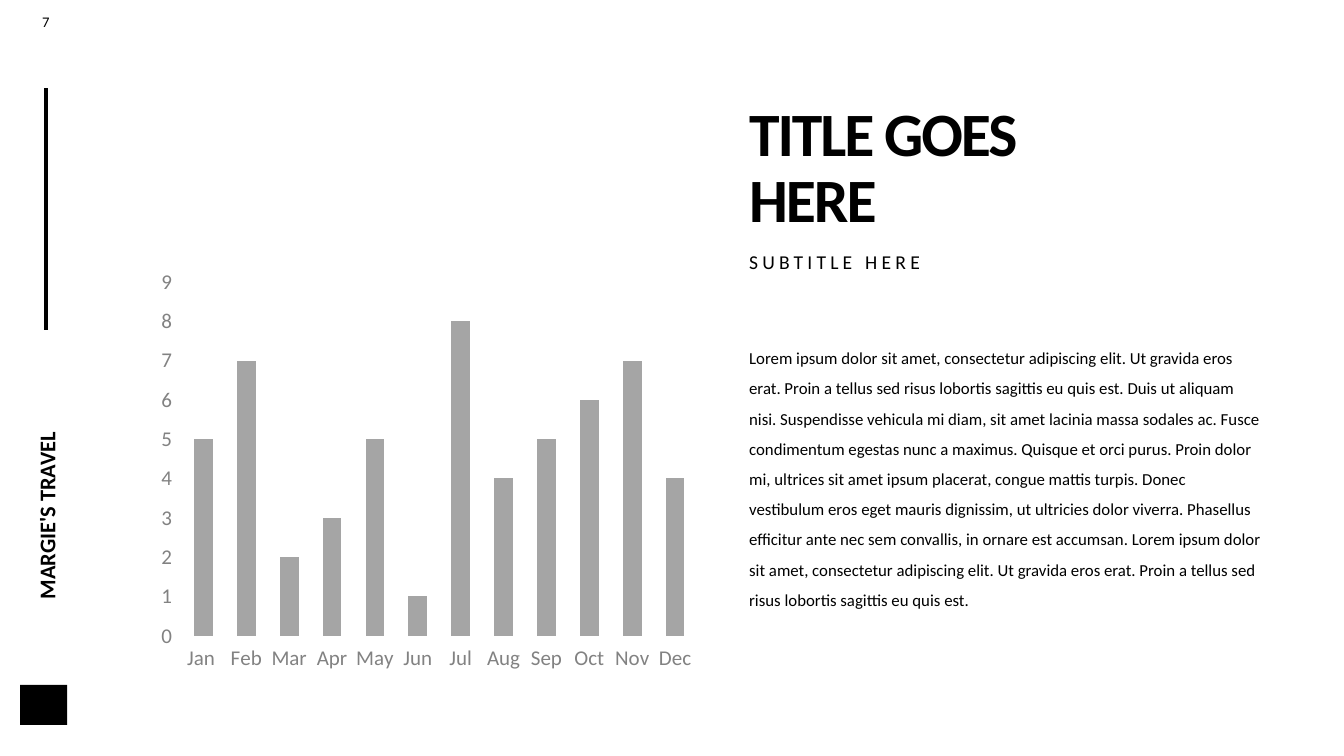
import pptx
import pptx.chart.data
import pptx.dml.color
import pptx.enum.chart
import pptx.enum.shapes
import pptx.enum.text
import pptx.oxml.ns
import pptx.util
from lxml import etree

WIDE, HIGH = pptx.util.Inches(13.33), pptx.util.Inches(7.5)
FONT = "Calibri"
HUES = {"ink": "000000", "bar": "A5A5A5", "axis": "828282", "back": "FFFFFF"}
SIDE, SPAN = 55.74, 39.08
MONTHS = ["Jan ", "Feb", "Mar", "Apr", "May", "Jun",
          "Jul", "Aug", "Sep", "Oct", "Nov", "Dec"]
VALUES = [5, 7, 2, 3, 5, 1, 8, 4, 5, 6, 7, 4]
LOREM = (
    "Lorem ipsum dolor sit amet, consectetur adipiscing elit. Ut gravida eros erat. "
    "Proin a tellus sed risus lobortis sagittis eu quis est. Duis ut aliquam nisi. "
    "Suspendisse vehicula mi diam, sit amet lacinia massa sodales ac. "
    "Fusce condimentum egestas nunc a maximus. Quisque et orci purus. "
    "Proin dolor mi, ultrices sit amet ipsum placerat, congue mattis turpis. "
    "Donec vestibulum eros eget mauris dignissim, ut ultricies dolor viverra. "
    "Phasellus efficitur ante nec sem convallis, in ornare est accumsan. "
    "Lorem ipsum dolor sit amet, consectetur adipiscing elit. Ut gravida eros erat. "
    "Proin a tellus sed risus lobortis sagittis eu quis est."
)


def col(share):
    return round(WIDE * share / 100)


def row(share):
    return round(HIGH * share / 100)


def area(x, y, w, h):
    return col(x), row(y), col(w), row(h)


def hue(name):
    return pptx.dml.color.RGBColor.from_string(HUES[name])


def paint(fill, name):
    fill.solid()
    fill.fore_color.rgb = hue(name)


def style(font, size, name, bold=False):
    font.name = FONT
    font.size = pptx.util.Pt(size)
    font.bold = bold
    font.color.rgb = hue(name)


def write(para, text, size, bold=False, space=0):
    for place, part in enumerate(text.split("\n")):
        if place:
            para.add_line_break()
        run = para.add_run()
        run.text = part
        style(run.font, size, "ink", bold)
        if space:
            run._r.get_or_add_rPr().set("spc", str(round(space * 100)))


def add_label(slide, spot, text, size, bold=False, tight=False, turn=0):
    box = slide.shapes.add_textbox(*area(*spot))
    box.rotation = turn
    frame = box.text_frame
    frame.word_wrap = not tight
    if tight:
        frame.auto_size = pptx.enum.text.MSO_AUTO_SIZE.SHAPE_TO_FIT_TEXT
        frame.vertical_anchor = pptx.enum.text.MSO_ANCHOR.MIDDLE
        frame.margin_left = frame.margin_right = pptx.util.Inches(0.02)
        frame.margin_top = frame.margin_bottom = pptx.util.Inches(0.02)
    else:
        frame.paragraphs[0].alignment = pptx.enum.text.PP_ALIGN.CENTER
    write(frame.paragraphs[0], text, size, bold)


def fill_holder(holder, top, tall, text, size, lead, bold=False, space=0,
                before=10, anchor=pptx.enum.text.MSO_ANCHOR.TOP):
    holder.left, holder.top, holder.width, holder.height = area(SIDE, top, SPAN, tall)
    frame = holder.text_frame
    frame.word_wrap = True
    frame.auto_size = pptx.enum.text.MSO_AUTO_SIZE.NONE
    frame.vertical_anchor = anchor
    frame.margin_left = 0
    frame.margin_right = pptx.util.Inches(0.1)
    frame.margin_top = frame.margin_bottom = pptx.util.Inches(0.05)
    para = frame.paragraphs[0]
    para.alignment = pptx.enum.text.PP_ALIGN.LEFT
    para.line_spacing = lead
    para.space_before = pptx.util.Pt(before)
    write(para, text, size, bold, space)


def add_rule(slide, x, start, end):
    rule = slide.shapes.add_connector(
        pptx.enum.shapes.MSO_CONNECTOR.STRAIGHT, col(x), row(start), col(x), row(end))
    rule.line.color.rgb = hue("ink")
    rule.line.width = pptx.util.Pt(3)
    etree.SubElement(rule._element.spPr, pptx.oxml.ns.qn("a:effectLst"))


def add_block(slide, spot):
    block = slide.shapes.add_shape(
        pptx.enum.shapes.MSO_SHAPE.RECTANGLE, *area(*spot))
    block.shadow.inherit = False
    block.line.fill.background()
    paint(block.fill, "ink")


def add_bars(slide, spot):
    data = pptx.chart.data.CategoryChartData()
    data.categories = MONTHS
    data.add_series("Series 1", VALUES)
    kind = pptx.enum.chart.XL_CHART_TYPE.COLUMN_CLUSTERED
    chart = slide.shapes.add_chart(kind, *area(*spot), data).chart
    chart.has_legend = False
    chart.has_title = False
    style(chart.font, 15, "axis")
    for axis in (chart.category_axis, chart.value_axis):
        axis.has_major_gridlines = False
        axis.major_tick_mark = pptx.enum.chart.XL_TICK_MARK.OUTSIDE
        axis.format.line.fill.background()
        style(axis.tick_labels.font, 15, "axis")
    plot = chart.plots[0]
    plot.gap_width = 129
    plot.vary_by_categories = False
    paint(plot.series[0].format.fill, "bar")


def main():
    deck = pptx.Presentation()
    deck.slide_width, deck.slide_height = WIDE, HIGH
    slide = deck.slides.add_slide(deck.slide_layouts.get_by_name("Comparison"))
    paint(slide.background.fill, "back")

    title, sub, spare, body, extra = slide.placeholders
    for holder in (spare, extra):
        holder._element.getparent().remove(holder._element)

    add_label(slide, (-4.43, 63.47, 15.75, 4.13), "MARGIE'S TRAVEL", 16,
              bold=True, tight=True, turn=270)
    add_rule(slide, 3.45, 43.6, 11.6)
    add_label(slide, (1.28, 1.07, 4.28, 3.6), "7", 10.5)
    add_block(slide, (1.5, 90.6, 3.5, 5.3))
    add_bars(slide, (11.18, 34.53, 41.48, 55.33))
    fill_holder(title, 12.27, 19.6, "TITLE GOES\nHERE", 44, 0.9, bold=True,
                space=-1.5, before=0, anchor=pptx.enum.text.MSO_ANCHOR.BOTTOM)
    fill_holder(sub, 32.8, 8.8, "SUBTITLE HERE", 14, 0.9, space=3)
    fill_holder(body, 44, 45.2, LOREM, 12, 1.5)
    deck.save("out.pptx")


if __name__ == "__main__":
    main()
